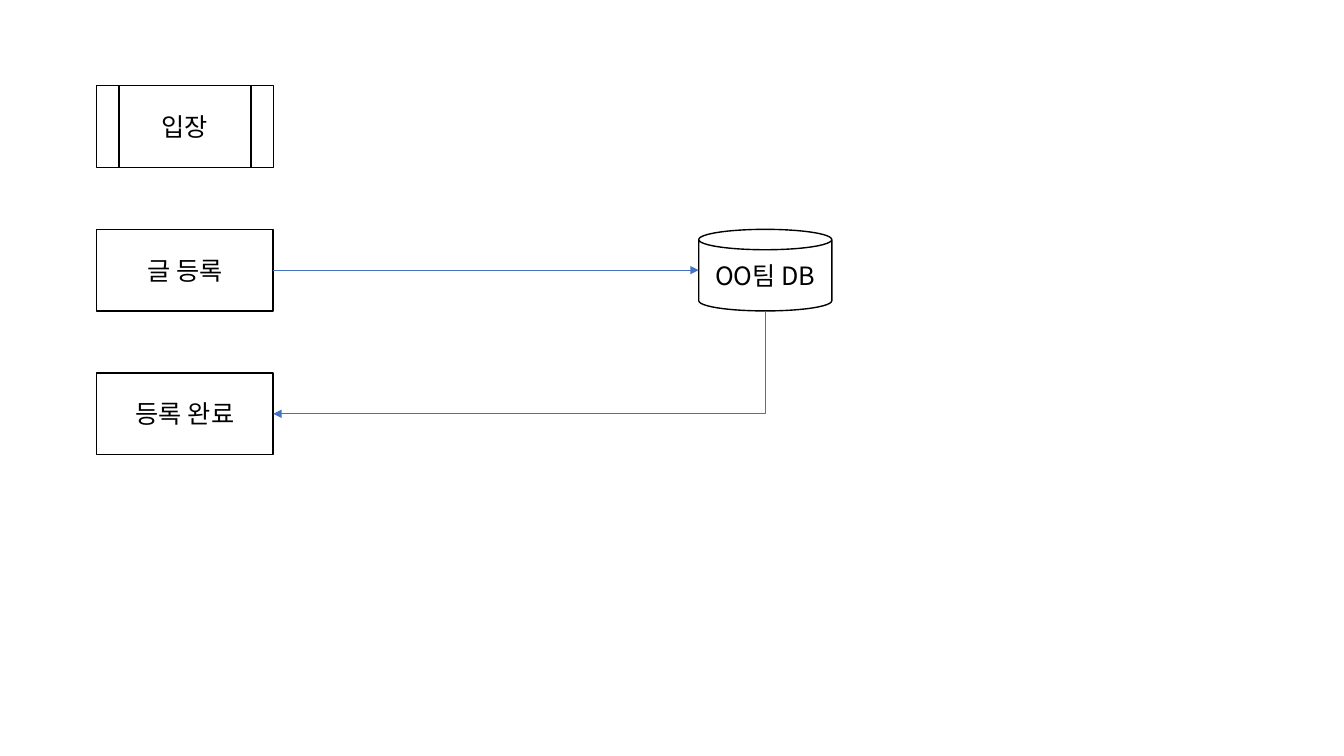
import dataclasses

import pptx
import pptx.dml.color
import pptx.enum.dml
import pptx.enum.shapes
import pptx.enum.text
import pptx.oxml.ns
import pptx.oxml.xmlchemy
import pptx.util
from lxml import etree

BLACK = pptx.dml.color.RGBColor(0x00, 0x00, 0x00)
WHITE = pptx.dml.color.RGBColor(0xFF, 0xFF, 0xFF)
BLUE = pptx.dml.color.RGBColor(0x44, 0x72, 0xC4)
FONT = "Noto Sans CJK KR"
SHAPE = pptx.enum.shapes.MSO_SHAPE
inches = pptx.util.Inches
qn = pptx.oxml.ns.qn

# Grid: two columns (left edge, width) and evenly spaced rows
COLUMNS = ((0.96, 1.75), (6.93, 1.32))
FIRST_TOP, ROW_PITCH, NODE_HEIGHT = 0.85, 1.425, 0.81


@dataclasses.dataclass(frozen=True)
class Node:
    text: str
    kind: SHAPE
    column: int
    row: int

    @property
    def left(self) -> float:
        return COLUMNS[self.column][0]

    @property
    def width(self) -> float:
        return COLUMNS[self.column][1]

    @property
    def right(self) -> float:
        return self.left + self.width

    @property
    def center(self) -> float:
        return self.left + self.width / 2

    @property
    def top(self) -> float:
        return FIRST_TOP + self.row * ROW_PITCH

    @property
    def middle(self) -> float:
        return self.top + NODE_HEIGHT / 2

    @property
    def bottom(self) -> float:
        return self.top + NODE_HEIGHT


ENTRY = Node("입장", SHAPE.FLOWCHART_PREDEFINED_PROCESS, 0, 0)
POST = Node("글 등록", SHAPE.RECTANGLE, 0, 1)
DATABASE = Node("OO팀 DB", SHAPE.CAN, 1, 1)
DONE = Node("등록 완료", SHAPE.RECTANGLE, 0, 2)


def draw_node(page, node: Node) -> None:
    box = page.shapes.add_shape(
        node.kind, inches(node.left), inches(node.top),
        inches(node.width), inches(NODE_HEIGHT))
    box.shadow.inherit = False
    box.fill.solid()
    box.fill.fore_color.rgb = WHITE
    box.line.color.rgb = BLACK
    box.line.width = pptx.util.Pt(1)
    frame = box.text_frame
    frame.word_wrap = True
    frame.vertical_anchor = pptx.enum.text.MSO_ANCHOR.MIDDLE
    para = frame.paragraphs[0]
    para.text = node.text
    para.alignment = pptx.enum.text.PP_ALIGN.CENTER
    para.font.size = pptx.util.Pt(18)
    para.font.name = FONT
    para.font.color.rgb = BLACK
    # Korean glyphs take the East Asian typeface
    defaults = para._p.pPr.find(qn("a:defRPr"))
    etree.SubElement(defaults, qn("a:ea")).set("typeface", FONT)


def draw_arrow(page, kind, start: tuple[float, float], end: tuple[float, float]):
    arrow = page.shapes.add_connector(kind, *map(inches, start + end))
    arrow.line.color.rgb = BLUE
    arrow.line.width = pptx.util.Pt(0.5)
    properties = arrow._element.spPr
    line = properties.find(qn("a:ln"))
    etree.SubElement(line, qn("a:tailEnd")).set("type", "triangle")
    etree.SubElement(properties, qn("a:effectLst"))
    return arrow


def draw_corner_arrow(page, start: tuple[float, float], end: tuple[float, float]) -> None:
    """Go down from start, then left to end: one bend, turned by 90 degrees."""
    middle_x, middle_y = (start[0] + end[0]) / 2, (start[1] + end[1]) / 2
    half_drop, half_run = (end[1] - start[1]) / 2, (start[0] - end[0]) / 2
    arrow = draw_arrow(
        page, pptx.enum.shapes.MSO_CONNECTOR.ELBOW,
        (middle_x - half_drop, middle_y - half_run),
        (middle_x + half_drop, middle_y + half_run))
    properties = arrow._element.spPr
    properties.find(qn("a:xfrm")).set("rot", str(90 * 60000))
    properties.find(qn("a:prstGeom")).set("prst", "bentConnector2")


deck = pptx.Presentation()
deck.slide_width, deck.slide_height = inches(13.33), inches(7.5)
page = deck.slides.add_slide(deck.slide_layouts[6])

# Flow steps and the database
for node in (ENTRY, POST, DATABASE, DONE):
    draw_node(page, node)

# Post goes to the database, which confirms completion
draw_arrow(page, pptx.enum.shapes.MSO_CONNECTOR.STRAIGHT,
           (POST.right, POST.middle), (DATABASE.left, DATABASE.middle))
draw_corner_arrow(page, (DATABASE.center, DATABASE.bottom), (DONE.right, DONE.middle))

deck.save("out.pptx")
